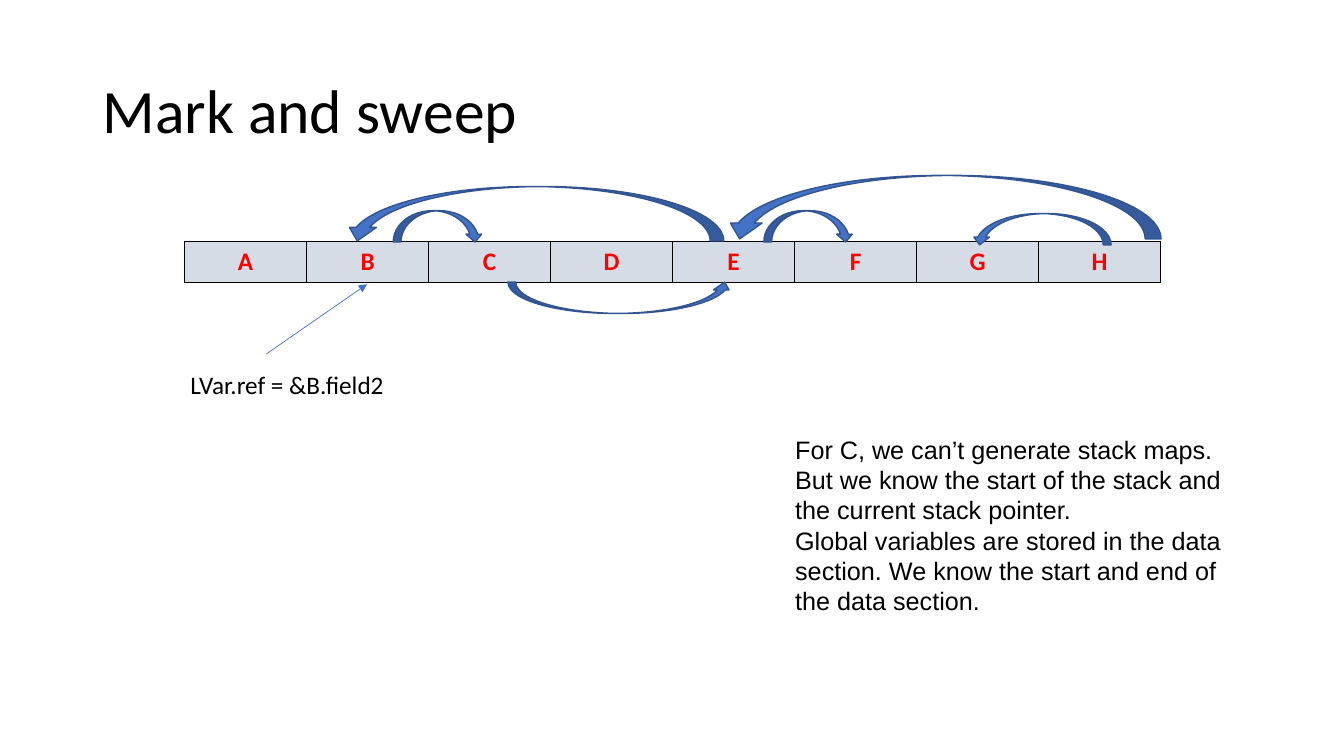
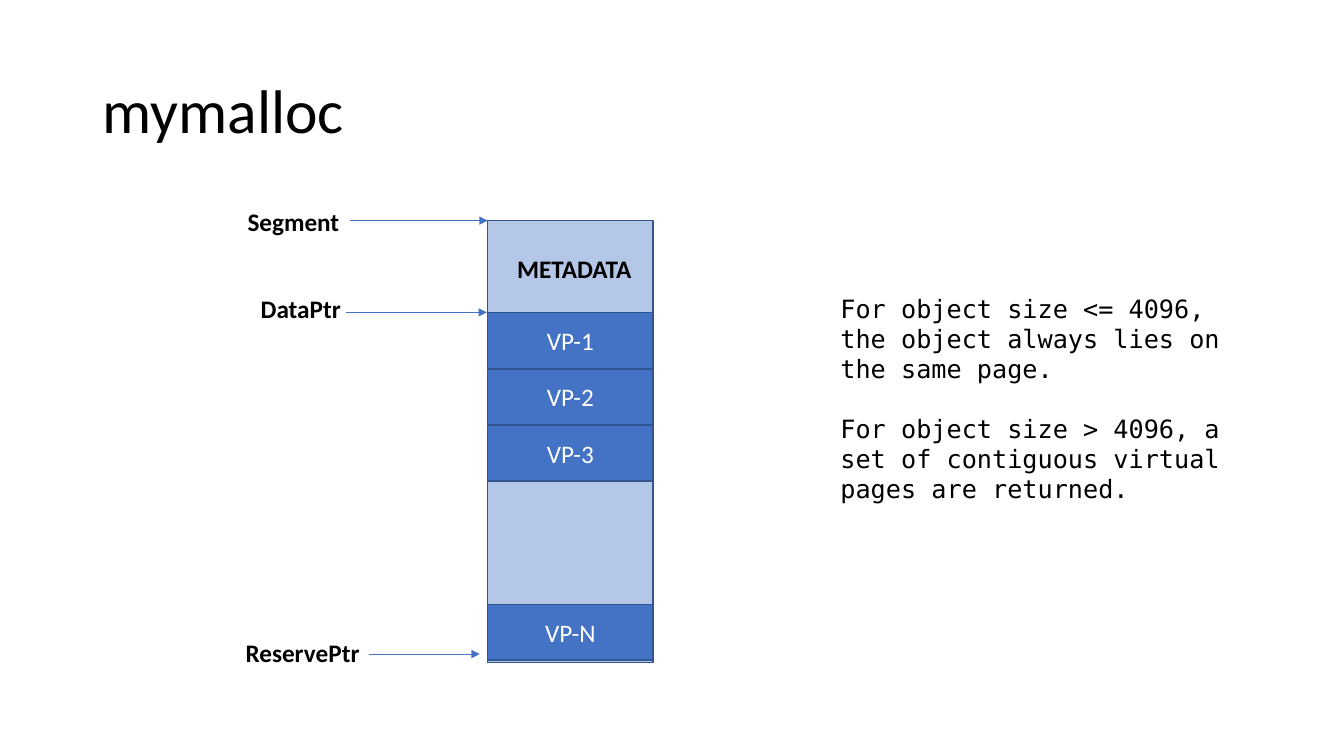
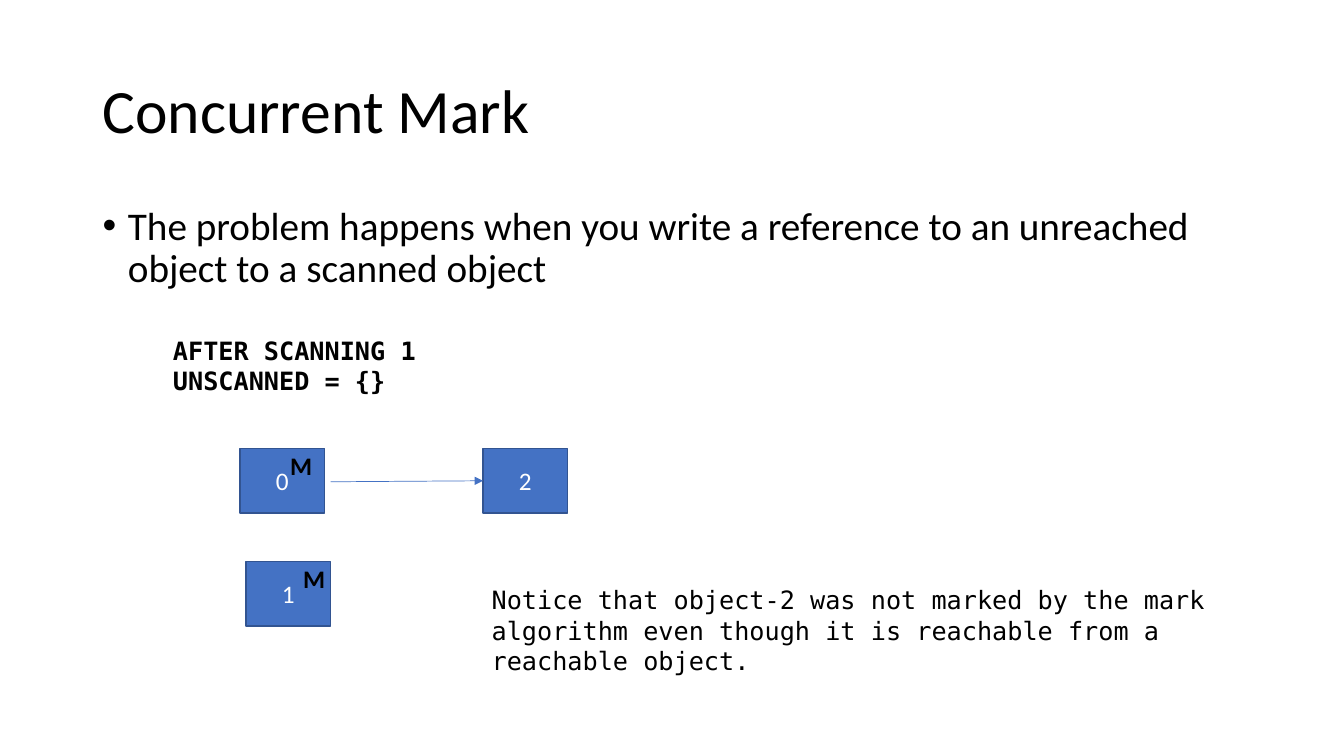
from lxml import etree
from pptx import Presentation
from pptx.dml.color import RGBColor
from pptx.enum.shapes import MSO_CONNECTOR, MSO_SHAPE
from pptx.enum.text import MSO_ANCHOR, MSO_AUTO_SIZE, PP_ALIGN
from pptx.oxml import parse_xml
from pptx.oxml.ns import nsdecls, qn
from pptx.util import Cm, Pt

STRAIGHT = MSO_CONNECTOR.STRAIGHT
RECTANGLE = MSO_SHAPE.RECTANGLE
CURVED_DOWN = MSO_SHAPE.CURVED_DOWN_ARROW
CURVED_UP = MSO_SHAPE.CURVED_UP_ARROW
MIDDLE, TOP = MSO_ANCHOR.MIDDLE, MSO_ANCHOR.TOP
LEFT, CENTER = PP_ALIGN.LEFT, PP_ALIGN.CENTER
NO_FIT = MSO_AUTO_SIZE.NONE
LEFT_SIDE = 1

BLACK = RGBColor(0x00, 0x00, 0x00)
WHITE = RGBColor(0xFF, 0xFF, 0xFF)
RED = RGBColor(0xFF, 0x00, 0x00)
BLUE = RGBColor(0x44, 0x72, 0xC4)
DARK_BLUE = RGBColor(0x32, 0x54, 0x91)
LIGHT_BLUE = RGBColor(0xB4, 0xC7, 0xE7)
GREY = RGBColor(0xD6, 0xDC, 0xE5)

SANS, ARIAL, MONO = "Calibri", "Arial", "DejaVu Sans Mono"
TITLE_ONLY, TITLE_AND_CONTENT = 5, 1

# All places are in centimetres: left, top, width, height
TITLE_PLACE = (2.33, 1.01, 29.21, 3.68)
BODY_PLACE = (2.33, 5.08, 29.21, 12.09)

# Mark and sweep
HEAP_OBJECTS = "ABCDEFGH"
HEAP_PLACE = (4.65, 6.08, 24.6, 1.04)
REFERENCES = [  # shape, place, rotation
    (CURVED_DOWN, (9.91, 5.31, 2.26, 0.79), 0),
    (CURVED_DOWN, (19.25, 5.31, 2.26, 0.79), 0),
    (CURVED_UP, (8.66, 4.7, 9.58, 1.37), 180),
    (CURVED_UP, (12.8, 7.11, 5.66, 0.79), 0),
    (CURVED_UP, (24.49, 5.38, 3.51, 0.79), 180),
    (CURVED_UP, (18.24, 4.42, 11.02, 1.6), 180),
]
STACK_NOTES = [
    "For C, we can’t generate stack maps.",
    "But we know the start of the stack and the current stack pointer.",
    "Global variables are stored in the data section. "
    "We know the start and end of the data section.",
]

# mymalloc
SEGMENT_PLACE = (12.29, 5.56, 4.17, 11.13)
PAGES_TOP, PAGE_STEP, PAGE_HEIGHT = 7.88, 1.42, 1.4
PAGES = [("VP-1", 0), ("VP-2", 1), ("VP-3", 2), ("VP-N", 5.18)]  # name, steps down
POINTERS = [  # name, label left and top, arrow start, arrow end
    ("Segment", (5.99, 5.08), (8.81, 5.56), (12.29, 5.56)),
    ("DataPtr", (6.32, 7.26), (8.71, 7.87), (12.27, 7.87)),
    ("ReservePtr", (5.94, 15.93), (9.3, 16.48), (12.09, 16.48)),
]
SIZE_NOTES = [
    "For object size <= 4096, the object always lies on the same page.",
    "For object size > 4096, a set of contiguous virtual pages are returned.",
]

# Concurrent Mark
PROBLEM = ("The problem happens when you write a reference to an unreached "
           "object to a scanned object")
SCAN_STATE = ["AFTER SCANNING 1", "UNSCANNED = {}"]
OBJECTS = [("0", 6.05, 11.3), ("1", 6.2, 14.15), ("2", 12.17, 11.3)]
OBJECT_SIZE = (2.13, 1.63)
MARKS = [(7.06, 11.23), (7.39, 14.07)]
UNMARKED_NOTE = ("Notice that object-2 was not marked by the mark algorithm even "
                 "though it is reachable from a reachable object.")


def lengths(place):
    return [Cm(value) for value in place]


def set_font(paragraph, size=18, name=SANS, color=BLACK, bold=False):
    font = paragraph.font
    font.size, font.name, font.bold = Pt(size), name, bold
    font.color.rgb = color


def fill_placeholder(placeholder, place, text, size, anchor):
    placeholder.left, placeholder.top, placeholder.width, placeholder.height = lengths(place)
    frame = placeholder.text_frame
    frame.text = text
    frame.auto_size = NO_FIT
    frame.vertical_anchor = anchor
    paragraph = frame.paragraphs[0]
    paragraph.alignment = LEFT
    paragraph.line_spacing = 0.9
    set_font(paragraph, size)
    return paragraph


def add_titled_slide(presentation, title, layout=TITLE_ONLY):
    slide = presentation.slides.add_slide(presentation.slide_layouts[layout])
    fill_placeholder(slide.shapes.title, TITLE_PLACE, title, 44, MIDDLE)
    return slide


def add_text(slide, place, lines, gap=0, **font):
    """Add a text box; gap is the space in points between its paragraphs."""
    frame = slide.shapes.add_textbox(*lengths(place)).text_frame
    frame.word_wrap = True
    frame.text = "\n".join(lines)
    for number, paragraph in enumerate(frame.paragraphs):
        if number and gap:
            paragraph.space_before = Pt(gap)
        set_font(paragraph, **font)


def add_box(slide, kind, place, text="", fill=BLUE):
    shape = slide.shapes.add_shape(kind, *lengths(place))
    shape.shadow.inherit = False
    shape.fill.solid()
    shape.fill.fore_color.rgb = fill
    shape.line.color.rgb = DARK_BLUE
    shape.line.width = Pt(1)
    if text:
        frame = shape.text_frame
        frame.text = text
        frame.vertical_anchor = MIDDLE
        frame.paragraphs[0].alignment = CENTER
        set_font(frame.paragraphs[0], color=WHITE)
    return shape


def add_line(slide, start, end, arrow=True):
    connector = slide.shapes.add_connector(STRAIGHT, *lengths(start + end))
    connector.line.color.rgb = BLUE
    connector.line.width = Pt(0.5)
    if arrow:
        line = connector.line._get_or_add_ln()
        etree.SubElement(line, qn("a:tailEnd"), type="triangle")
    etree.SubElement(connector._element.spPr, qn("a:effectLst"))
    return connector


def add_borders(cell):
    properties = cell._tc.get_or_add_tcPr()
    for position, side in enumerate(("lnL", "lnR", "lnT", "lnB")):
        properties.insert(position, parse_xml(
            f'<a:{side} {nsdecls("a")} w="{Pt(1)}"><a:solidFill>'
            f'<a:srgbClr val="{BLACK}"/></a:solidFill></a:{side}>'))


def add_heap(slide):
    left, top, width, height = lengths(HEAP_PLACE)
    count = len(HEAP_OBJECTS)
    table = slide.shapes.add_table(1, count, left, top, width, height).table
    table.first_row = table.horz_banding = False
    for column, name in enumerate(HEAP_OBJECTS):
        table.columns[column].width = width // count
        cell = table.cell(0, column)
        cell.text = name
        cell.fill.solid()
        cell.fill.fore_color.rgb = GREY
        add_borders(cell)
        paragraph = cell.text_frame.paragraphs[0]
        paragraph.alignment = CENTER
        set_font(paragraph, color=RED, bold=True)


def build_mark_and_sweep(presentation):
    slide = add_titled_slide(presentation, "Mark and sweep")
    add_heap(slide)
    add_line(slide, (6.71, 8.92), (9.25, 7.16))
    add_text(slide, (4.55, 9.17, 6.71, 1.02), ["LVar.ref = &B.field2"])
    for kind, place, rotation in REFERENCES:
        add_box(slide, kind, place).rotation = rotation
    add_text(slide, (19.79, 10.82, 11.76, 4.88), STACK_NOTES, name=ARIAL)


def build_mymalloc(presentation):
    slide = add_titled_slide(presentation, "mymalloc")
    left, _, width, _ = SEGMENT_PLACE
    add_box(slide, RECTANGLE, SEGMENT_PLACE, fill=LIGHT_BLUE)
    add_line(slide, (left, PAGES_TOP), (left + width, PAGES_TOP), arrow=False)
    add_text(slide, (12.78, 6.25, width, 1.02), ["METADATA"], bold=True)
    for name, steps in PAGES:
        top = PAGES_TOP + steps * PAGE_STEP
        add_box(slide, RECTANGLE, (left, top, width, PAGE_HEIGHT), name)
    for name, corner, start, end in POINTERS:
        add_text(slide, corner + (width, 1.02), [name], bold=True)
        add_line(slide, start, end)
    add_text(slide, (20.93, 7.26, 10.62, 5.64), SIZE_NOTES, gap=21, name=MONO)


def build_concurrent_mark(presentation):
    slide = add_titled_slide(presentation, "Concurrent Mark", TITLE_AND_CONTENT)
    paragraph = fill_placeholder(slide.placeholders[1], BODY_PLACE, PROBLEM, 28, TOP)
    paragraph.space_before = Pt(0)
    properties = paragraph._p.get_or_add_pPr()
    properties.set("marL", str(Cm(0.64)))
    properties.set("indent", str(-Cm(0.64)))
    add_text(slide, (4.11, 8.33, 10.87, 1.8), SCAN_STATE, name=MONO, bold=True)
    boxes = {name: add_box(slide, RECTANGLE, (left, top) + OBJECT_SIZE, name)
             for name, left, top in OBJECTS}
    reference = add_line(slide, (8.33, 12.14), (12.17, 12.12))
    reference.end_connect(boxes["2"], LEFT_SIDE)
    for corner in MARKS:
        add_text(slide, corner + (2.13, 1.02), ["M"], bold=True)
    add_text(slide, (12.14, 14.61, 19, 2.57), [UNMARKED_NOTE], name=MONO)


def main():
    presentation = Presentation()
    presentation.slide_width, presentation.slide_height = Cm(33.87), Cm(19.05)
    build_mark_and_sweep(presentation)
    build_mymalloc(presentation)
    build_concurrent_mark(presentation)
    presentation.save("out.pptx")


if __name__ == "__main__":
    main()
